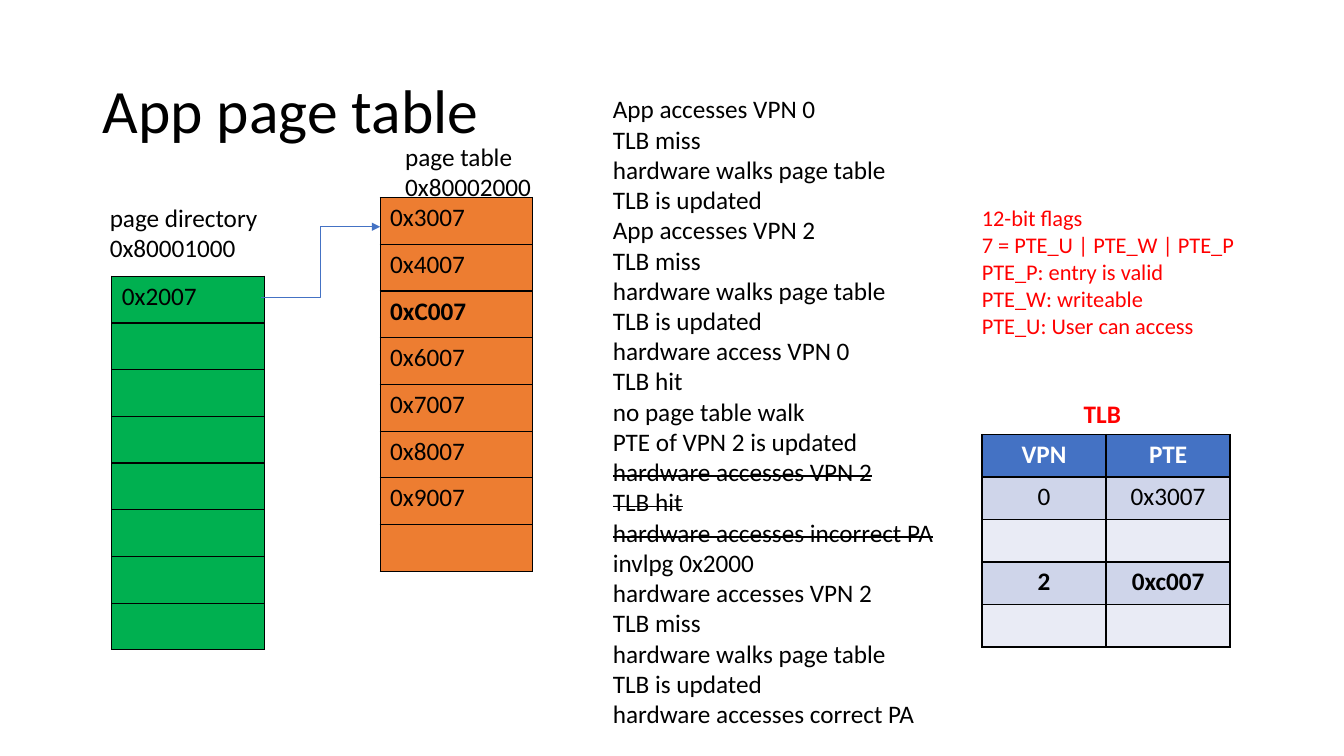
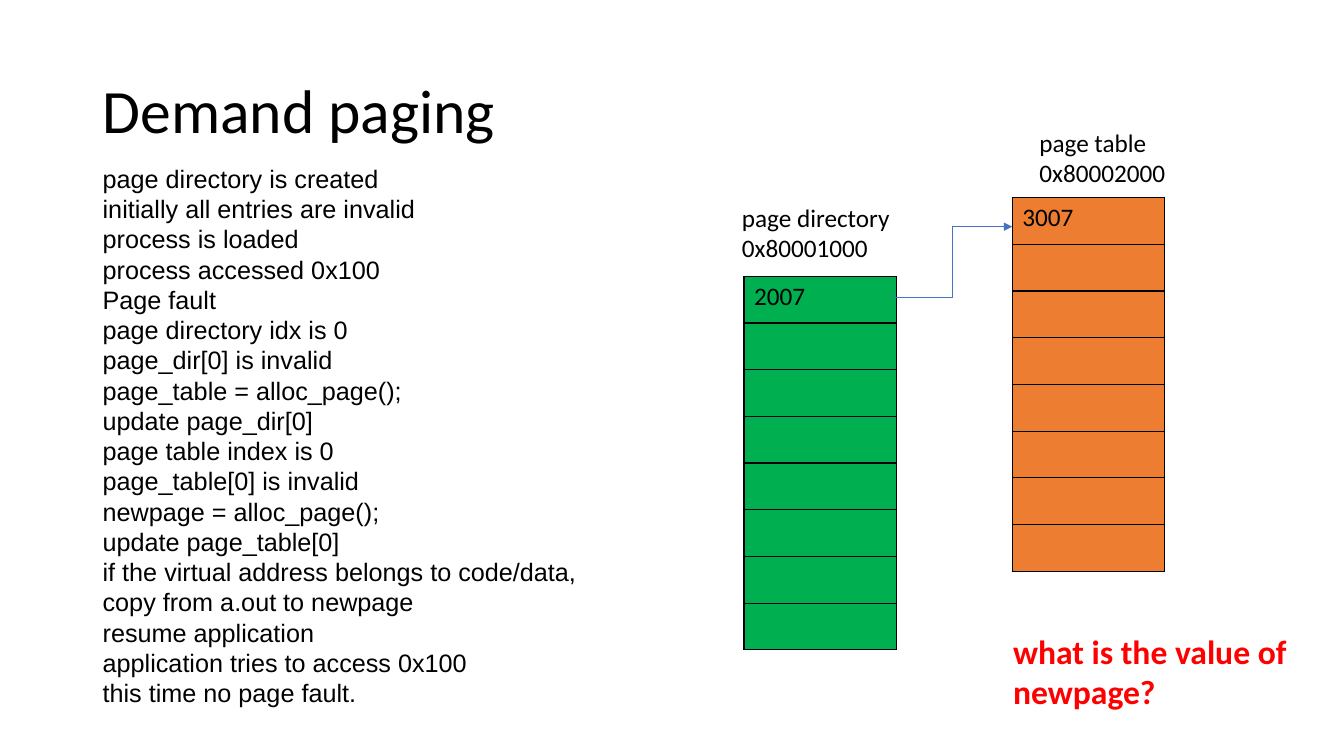
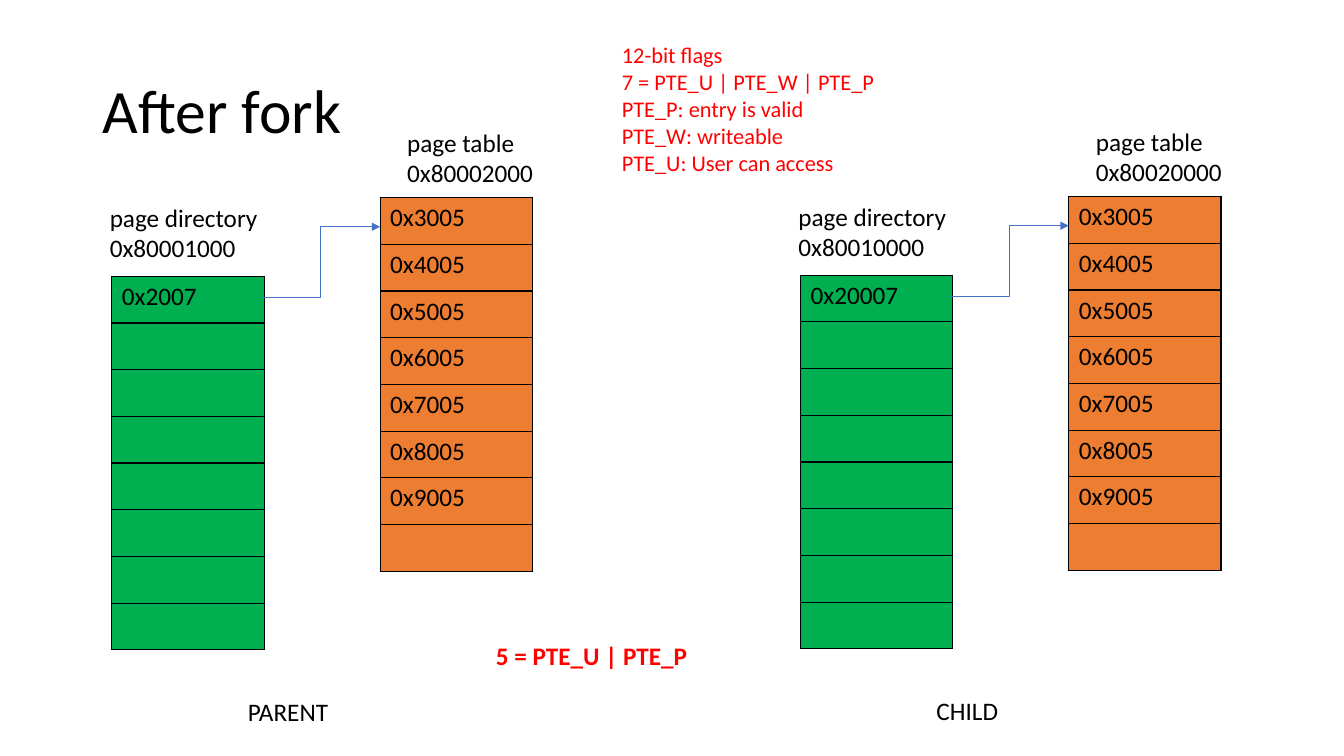
"""Build three slides on page tables, demand paging and fork."""
from dataclasses import dataclass

from lxml import etree
from pptx import Presentation
from pptx.dml.color import RGBColor
from pptx.enum.shapes import MSO_CONNECTOR
from pptx.enum.text import MSO_ANCHOR, MSO_AUTO_SIZE, PP_ALIGN
from pptx.oxml.ns import qn
from pptx.slide import Slide
from pptx.text.text import _Paragraph
from pptx.util import Emu, Pt

ELBOW = MSO_CONNECTOR.ELBOW
MIDDLE = MSO_ANCHOR.MIDDLE
GROW = MSO_AUTO_SIZE.SHAPE_TO_FIT_TEXT
LEFT, CENTER = PP_ALIGN.LEFT, PP_ALIGN.CENTER

PX = 9144
BORDER_EMU = 12700
ENTRY_COUNT = 8
COLORS = {
    "text": "000000",
    "white": "FFFFFF",
    "alert": "FF0000",
    "directory": "00B050",
    "page_table": "ED7D31",
    "accent": "4472C4",
    "band_dark": "CFD5EA",
    "band_light": "E9EBF5",
}


@dataclass(frozen=True)
class Style:
    size: int = 18
    color: str = "text"
    bold: bool = False
    font: str = "Calibri"
    align: PP_ALIGN = LEFT


@dataclass(frozen=True)
class Note:
    left: int
    top: int
    width: int
    height: int
    lines: tuple[str, ...]
    style: Style = Style()
    struck: tuple[int, ...] = ()


@dataclass(frozen=True)
class Row:
    texts: tuple[str, ...]
    fill: str
    style: Style = Style()


@dataclass(frozen=True)
class PageWalk:
    left: int
    top: int
    directory_address: str
    table_address: str
    directory_entry: str
    table_entries: tuple[str, ...]
    bold_entry: str = ""
    table_label_left: int = 283
    table_label_top: int = -153


BODY = Style()
STRONG = Style(bold=True)
ARIAL = Style(font="Arial")
FLAG = Style(16, "alert")
ALERT = Style(18, "alert", True)
QUESTION = Style(24, "alert", True)
TITLE = Style(44)
TLB_HEAD = Style(18, "white", True, align=CENTER)
TLB_CELL = Style(align=CENTER)
TLB_STRONG = Style(bold=True, align=CENTER)

FLAG_LINES = (
    "12-bit flags",
    "7 = PTE_U | PTE_W | PTE_P",
    "PTE_P: entry is valid",
    "PTE_W: writeable",
    "PTE_U: User can access",
)
TLB_REFILL = ("TLB miss", "hardware walks page table", "TLB is updated")
TLB_TRACE = (
    "App accesses VPN 0", *TLB_REFILL,
    "App accesses VPN 2", *TLB_REFILL,
    "hardware access VPN 0",
    "TLB hit",
    "no page table walk",
    "PTE of VPN 2 is updated",
    "hardware accesses VPN 2",
    "TLB hit",
    "hardware accesses incorrect PA",
    "invlpg 0x2000",
    "hardware accesses VPN 2", *TLB_REFILL,
    "hardware accesses correct PA",
)
FAULT_TRACE = (
    "page directory is created",
    "initially all entries are invalid",
    "process is loaded",
    "process accessed 0x100",
    "Page fault",
    "page directory idx is 0",
    "page_dir[0] is invalid",
    "page_table = alloc_page();",
    "update page_dir[0]",
    "page table index is 0",
    "page_table[0] is invalid",
    "newpage = alloc_page();",
    "update page_table[0]",
    "if the virtual address belongs to code/data, copy from a.out to newpage",
    "resume application",
    "application tries to access 0x100",
    "this time no page fault.",
)
TLB_ROWS = (
    Row(("VPN", "PTE"), "accent", TLB_HEAD),
    Row(("0", "0x3007"), "band_dark", TLB_CELL),
    Row(("", ""), "band_light", TLB_CELL),
    Row(("2", "0xc007"), "band_dark", TLB_STRONG),
    Row(("", ""), "band_light", TLB_CELL),
)
APP_ENTRIES = ("0x3007", "0x4007", "0xC007", "0x6007", "0x7007", "0x8007", "0x9007")
FORK_ENTRIES = tuple(f"0x{frame}005" for frame in range(3, 10))


def px(length: int) -> Emu:
    return Emu(length * PX)


def rgb(color: str) -> RGBColor:
    return RGBColor.from_string(COLORS[color])


def style_paragraph(paragraph: _Paragraph, style: Style) -> None:
    paragraph.alignment = style.align
    font = paragraph.font
    font.name = style.font
    font.size = Pt(style.size)
    font.bold = style.bold
    font.color.rgb = rgb(style.color)


def add_note(slide: Slide, note: Note) -> None:
    box = slide.shapes.add_textbox(px(note.left), px(note.top), px(note.width), px(note.height))
    frame = box.text_frame
    frame.word_wrap = True
    frame.auto_size = GROW
    frame.text = "\n".join(note.lines)
    for index, paragraph in enumerate(frame.paragraphs):
        style_paragraph(paragraph, note.style)
        if index in note.struck:
            paragraph.runs[0]._r.get_or_add_rPr().set("strike", "sngStrike")


def add_title(slide: Slide, title: str) -> None:
    frame = slide.shapes.add_textbox(px(92), px(40), px(1150), px(145)).text_frame
    frame.word_wrap = True
    frame.vertical_anchor = MIDDLE
    frame.text = title
    heading = frame.paragraphs[0]
    heading.line_spacing = 0.9
    style_paragraph(heading, TITLE)


def add_grid(slide: Slide, left: int, top: int, width: int, height: int,
             rows: tuple[Row, ...]) -> None:
    grid = slide.shapes.add_table(
        len(rows), len(rows[0].texts), px(left), px(top), px(width), px(height)).table
    grid.first_row = False
    grid.horz_banding = False
    for row_index, row in enumerate(rows):
        for column_index, text in enumerate(row.texts):
            cell = grid.cell(row_index, column_index)
            properties = cell._tc.get_or_add_tcPr()
            for side in ("a:lnL", "a:lnR", "a:lnT", "a:lnB"):
                border = etree.SubElement(properties, qn(side), w=str(BORDER_EMU))
                paint = etree.SubElement(border, qn("a:solidFill"))
                etree.SubElement(paint, qn("a:srgbClr"), val=COLORS["text"])
            cell.fill.solid()
            cell.fill.fore_color.rgb = rgb(row.fill)
            cell.text = text
            style_paragraph(cell.text_frame.paragraphs[0], row.style)


def add_entries(slide: Slide, left: int, top: int, fill: str,
                entries: tuple[str, ...], bold_entry: str = "") -> None:
    padded = entries + ("",) * (ENTRY_COUNT - len(entries))
    rows = tuple(Row((entry,), fill, STRONG if entry and entry == bold_entry else BODY)
                 for entry in padded)
    add_grid(slide, left, top, 151, 371, rows)


def add_elbow_arrow(slide: Slide, start: tuple[int, int], end: tuple[int, int]) -> None:
    arrow = slide.shapes.add_connector(ELBOW, *map(px, start), *map(px, end))
    arrow.line.color.rgb = rgb("accent")
    arrow.line.width = Pt(0.5)
    etree.SubElement(arrow.line._get_or_add_ln(), qn("a:tailEnd"), type="triangle")
    etree.SubElement(arrow._element.spPr, qn("a:effectLst"))


def add_page_walk(slide: Slide, walk: PageWalk) -> None:
    left, top = walk.left, walk.top
    table_left, table_top = left + 266, top - 78
    add_entries(slide, left, top, "directory", (walk.directory_entry,))
    add_entries(slide, table_left, table_top, "page_table", walk.table_entries, walk.bold_entry)
    add_note(slide, Note(left - 12, table_top, 232, 71,
                         ("page directory", walk.directory_address)))
    add_note(slide, Note(left + walk.table_label_left, top + walk.table_label_top, 232, 71,
                         ("page table", walk.table_address)))
    add_elbow_arrow(slide, (left + 148, top + 21), (table_left, top - 49))


def add_slide(deck: Presentation, title: str, walks: tuple[PageWalk, ...],
              notes: tuple[Note, ...]) -> Slide:
    slide = deck.slides.add_slide(deck.slide_layouts[6])
    add_title(slide, title)
    for walk in walks:
        add_page_walk(slide, walk)
    for note in notes:
        add_note(slide, note)
    return slide


def main() -> None:
    deck = Presentation()
    deck.slide_width, deck.slide_height = px(1333), px(750)

    app_slide = add_slide(
        deck, "App page table",
        (PageWalk(111, 274, "0x80001000", "0x80002000", "0x2007", APP_ENTRIES,
                  "0xC007", 281, -139),),
        (Note(964, 198, 304, 145, FLAG_LINES, FLAG),
         Note(1065, 390, 187, 40, ("TLB",), ALERT),
         Note(598, 88, 344, 646, TLB_TRACE, BODY, (12, 13, 14))))
    add_grid(app_slide, 974, 431, 246, 211, TLB_ROWS)

    add_slide(
        deck, "Demand paging",
        (PageWalk(738, 274, "0x80001000", "0x80002000", "2007", ("3007",)),),
        (Note(92, 157, 540, 582, FAULT_TRACE, ARIAL),
         Note(995, 621, 304, 91, ("what is the value of newpage?",), QUESTION)))

    add_slide(
        deck, "After fork",
        (PageWalk(111, 274, "0x80001000", "0x80002000", "0x2007", FORK_ENTRIES),
         PageWalk(794, 273, "0x80010000", "0x80020000", "0x20007", FORK_ENTRIES)),
        (Note(236, 686, 246, 40, ("PARENT",)),
         Note(919, 685, 246, 40, ("CHILD",)),
         Note(607, 36, 304, 145, FLAG_LINES, FLAG),
         Note(482, 630, 232, 40, ("5 = PTE_U | PTE_P",), ALERT)))

    deck.save("out.pptx")


if __name__ == "__main__":
    main()
